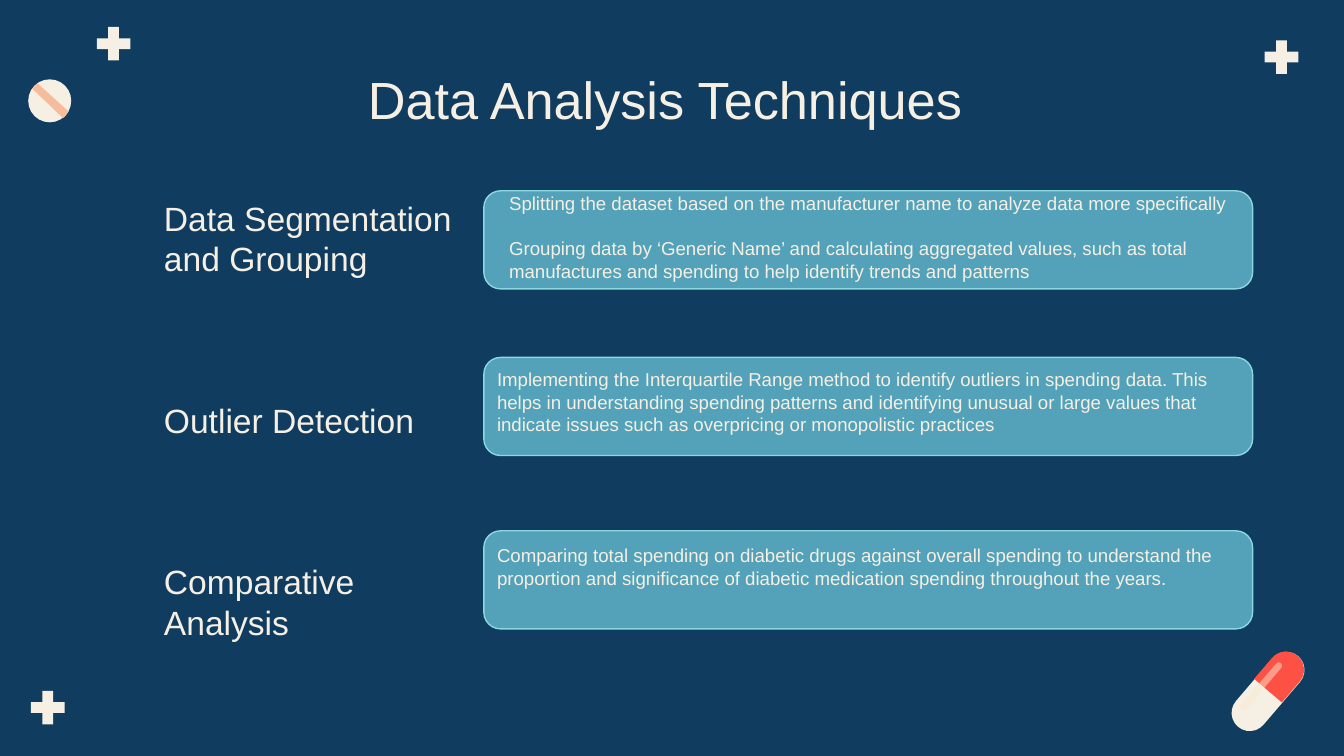
from dataclasses import dataclass

from lxml import etree
from pptx import Presentation
from pptx.dml.color import RGBColor
from pptx.enum import shapes, text
from pptx.oxml.ns import qn
from pptx.util import Inches, Pt

HUES = {
    "navy": "103C60",
    "cream": "F6EFE4",
    "teal": "53A2B9",
    "edge": "8CD8E1",
    "peach": "F6BC9B",
    "red": "FE5145",
    "shine": "FAE9CD",
}
FONT = "Arial"
KIND = shapes.MSO_SHAPE


@dataclass
class Box:
    x: float
    y: float
    w: float
    h: float

    def emu(self) -> tuple:
        return tuple(Inches(n) for n in (self.x, self.y, self.w, self.h))


@dataclass
class Card:
    top: float
    note: Box
    lines: tuple


@dataclass
class Part:
    kind: int
    box: Box
    hue: str
    turn: float = 0
    adj: tuple = ()


CARDS = (
    Card(1.42, Box(3.69, 1.33, 5.54, 0.82), (
        "Splitting the dataset based on the manufacturer name to analyze data more specifically",
        "Grouping data by ‘Generic Name’ and calculating aggregated values, such as total "
        "manufactures and spending to help identify trends and patterns")),
    Card(2.66, Box(3.6, 2.64, 5.54, 0.82), (
        "Implementing the Interquartile Range method to identify outliers in spending data. "
        "This helps in understanding spending patterns and identifying unusual or large values "
        "that indicate issues such as overpricing or monopolistic practices",)),
    Card(3.95, Box(3.6, 3.95, 5.54, 0.69), (
        "Comparing total spending on diabetic drugs against overall spending to understand the "
        "proportion and significance of diabetic medication spending throughout the years.",)),
)
HEADS = ("Data Segmentation and Grouping", "Outlier Detection", "Comparative Analysis")
PLUSES = ((0.72, 0.2), (0.23, 5.14), (9.41, 0.3))
TABLET = Part(KIND.OVAL, Box(0.21, 0.59, 0.32, 0.32), "cream")
# Corners in hundredths of an inch
STRIPE = ((28, 62), (51, 83), (49, 86), (47, 88), (24, 66), (26, 64))
PILL = (
    Part(KIND.ROUNDED_RECTANGLE, Box(9.09, 5.01, 0.69, 0.27), "cream", -49.5, (0.5,)),
    Part(KIND.ROUND_2_SAME_RECTANGLE, Box(9.41, 4.84, 0.27, 0.34), "red", 40.5, (0.5, 0)),
)
SHINE = Part(KIND.ROUNDED_RECTANGLE, Box(9.16, 5.08, 0.45, 0.05), "shine", -49.5, (0.5,))


def rgb(hue: str) -> RGBColor:
    return RGBColor.from_string(HUES[hue])


def paint(shape, hue: str) -> None:
    shape.shadow.inherit = False
    shape.fill.solid()
    shape.fill.fore_color.rgb = rgb(hue)
    shape.line.fill.background()


def draw(slide, part: Part):
    shape = slide.shapes.add_shape(part.kind, *part.box.emu())
    for i, val in enumerate(part.adj):
        shape.adjustments[i] = val
    shape.rotation = part.turn
    paint(shape, part.hue)
    return shape


def fade(shape, share: int) -> None:
    """Make the solid fill show at the given percentage."""
    tint = shape.fill._xPr.find(qn("a:solidFill"))[0]
    etree.SubElement(tint, qn("a:alpha")).set("val", str(share * 1000))


def place(shape, box: Box) -> None:
    shape.left, shape.top, shape.width, shape.height = box.emu()


def write(shape, lines: tuple, size: int, gap: float = 0, align=text.PP_ALIGN.LEFT) -> None:
    """Fill the frame with one paragraph per line, gap points apart."""
    frame = shape.text_frame
    frame.word_wrap = True
    frame.auto_size = text.MSO_AUTO_SIZE.NONE
    frame.vertical_anchor = text.MSO_ANCHOR.TOP
    frame.margin_left = frame.margin_right = Inches(0.1)
    frame.margin_top = frame.margin_bottom = Inches(0.1)
    frame.text = "\n".join(lines)
    for i, para in enumerate(frame.paragraphs):
        para.alignment = align
        para.space_before = Pt(gap if i else 0)
        para.font.name, para.font.size = FONT, Pt(size)
        para.font.color.rgb = rgb("cream")


def unlist(shape) -> None:
    """Drop bullets and hanging indents."""
    for para in shape.text_frame.paragraphs:
        props = para._p.get_or_add_pPr()
        props.set("marL", "0")
        props.set("indent", "0")
        props.insert_element_before(
            etree.SubElement(props, qn("a:buNone")), "a:tabLst", "a:defRPr", "a:extLst")


def main() -> None:
    deck = Presentation()
    deck.slide_width = Inches(10)
    deck.slide_height = deck.slide_width * 9 // 16
    slide = deck.slides.add_slide(deck.slide_layouts[1])
    slide.background.fill.solid()
    slide.background.fill.fore_color.rgb = rgb("navy")

    title, heads = slide.placeholders
    place(title, Box(0.78, 0.4, 8.44, 0.63))
    write(title, ("Data Analysis Techniques ",), 28, align=text.PP_ALIGN.CENTER)
    place(heads, Box(1.12, 1.37, 2.48, 3.31))
    write(heads, HEADS, 18, gap=65)
    unlist(heads)

    for x, y in PLUSES:
        draw(slide, Part(KIND.CROSS, Box(x, y, 0.25, 0.25), "cream", adj=(0.34,)))
    draw(slide, TABLET)
    pen = slide.shapes.build_freeform(*STRIPE[0], scale=Inches(0.01))
    pen.add_line_segments(STRIPE[1:])
    paint(pen.convert_to_shape(), "peach")
    for part in PILL:
        draw(slide, part)
    fade(draw(slide, SHINE), 49)

    for card in CARDS:
        panel = draw(slide, Part(KIND.ROUNDED_RECTANGLE, Box(3.6, card.top, 5.72, 0.73),
                                 "teal", adj=(0.17,)))
        panel.line.color.rgb = rgb("edge")
        panel.line.width = Pt(0.75)
    for card in CARDS:
        write(slide.shapes.add_textbox(*card.note.emu()), card.lines, 10, gap=12)

    deck.save("out.pptx")


if __name__ == "__main__":
    main()
